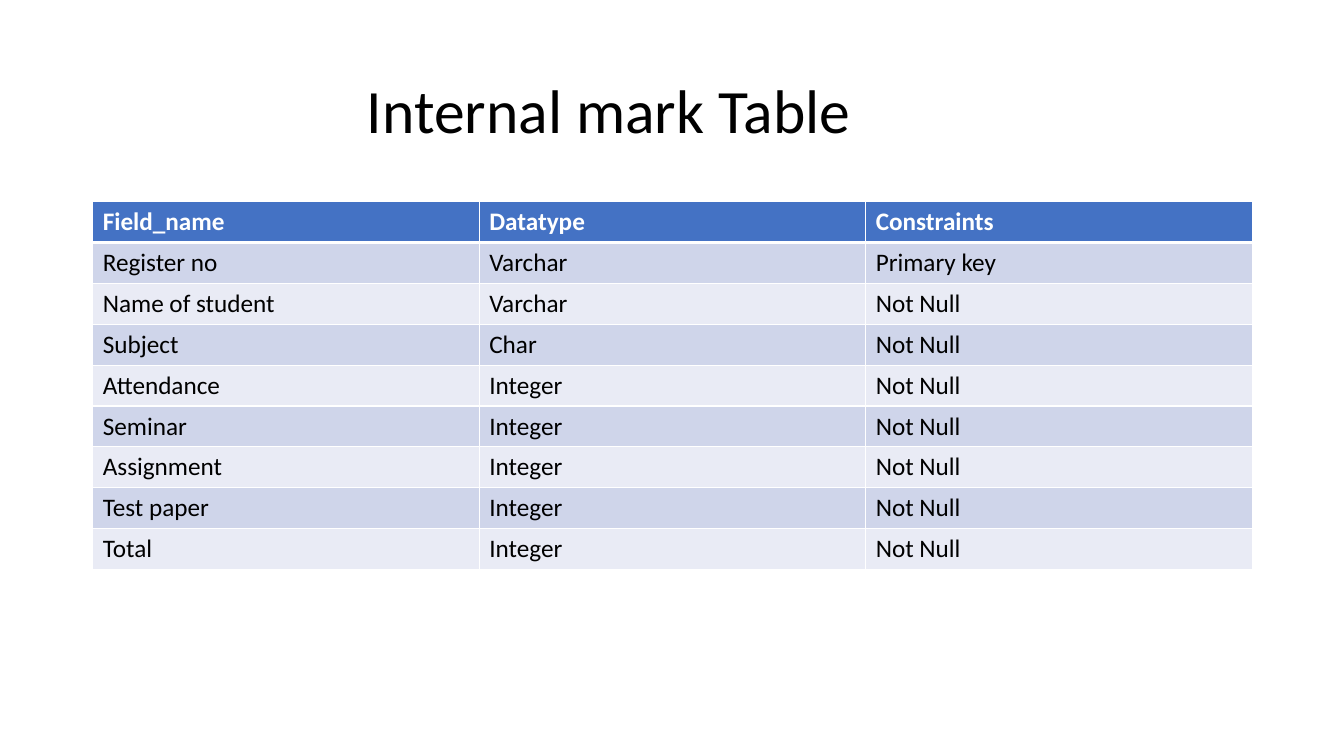
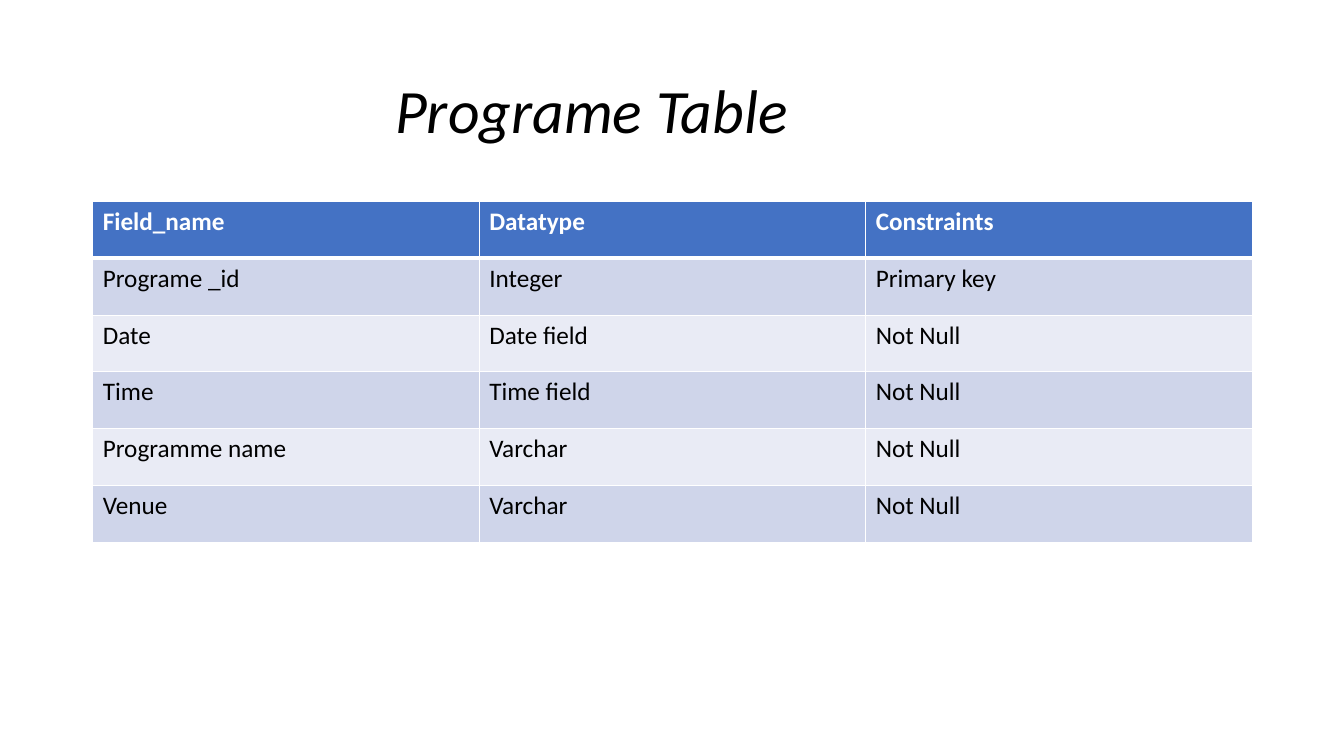
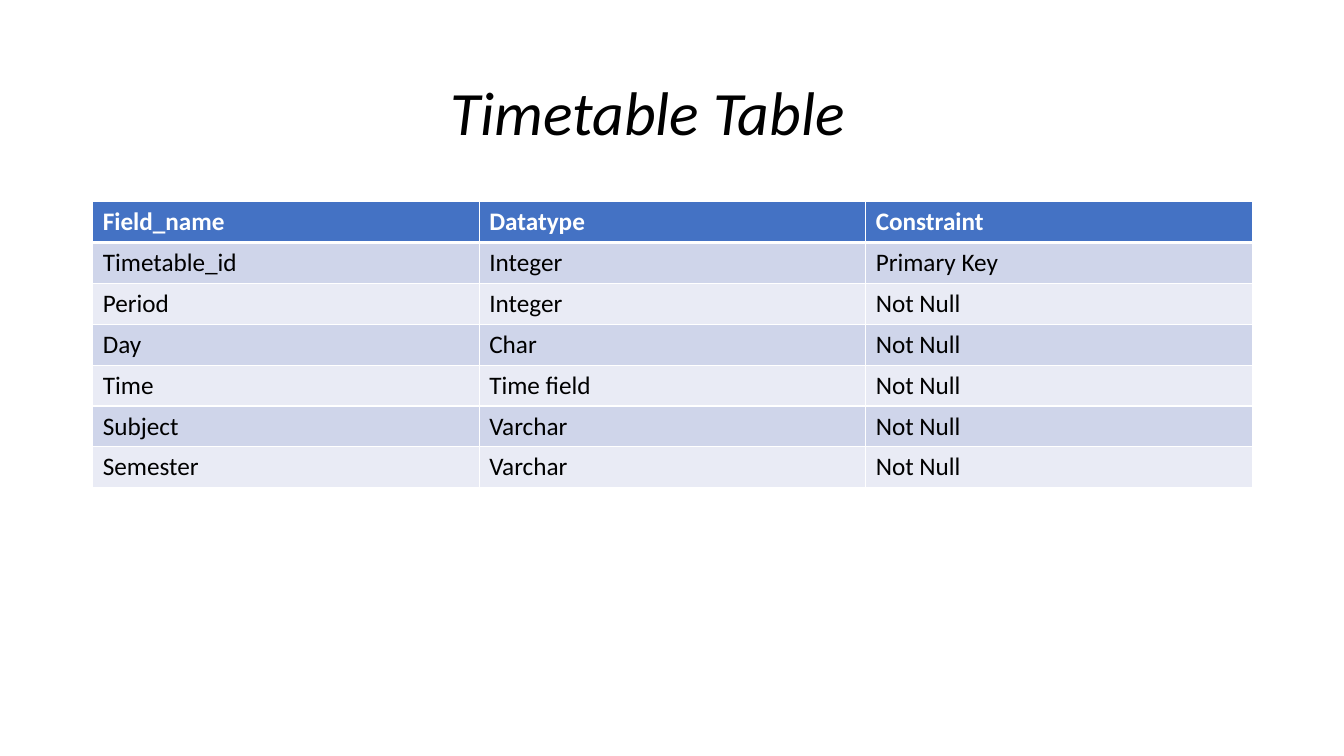
from pptx import Presentation
from pptx.dml.color import RGBColor
from pptx.enum.text import MSO_ANCHOR
from pptx.oxml.ns import qn
from pptx.util import Inches, Pt
from lxml import etree

MIDDLE = MSO_ANCHOR.MIDDLE
FONT = "Calibri"
BLACK, WHITE = "000000", "FFFFFF"
HEADER_FILL = "4472C4"
BAND_FILLS = ("CFD5EA", "E9EBF5")
LEFT, WIDTH = 0.92, 11.5
TABLE_TOP, TITLE_BOTTOM = 2, 1.85
INSET = 0.1
THIN, THICK = 1, 3

SLIDES = [
    {
        "title": "Internal mark Table", "italic": False,
        "title_top": 0.4, "title_indent": 2.62, "table_height": 3.65,
        "rows": [
            ("Field_name", "Datatype", "Constraints"),
            ("Register no", "Varchar", "Primary key"),
            ("Name of student", "Varchar", "Not Null"),
            ("Subject", "Char", "Not Null"),
            ("Attendance", "Integer", "Not Null"),
            ("Seminar", "Integer", "Not Null"),
            ("Assignment", "Integer", "Not Null"),
            ("Test paper", "Integer", "Not Null"),
            ("Total", "Integer", "Not Null"),
        ],
    },
    {
        "title": "Programe Table", "italic": True,
        "title_top": 0.4, "title_indent": 2.9, "table_height": 3.38,
        "rows": [
            ("Field_name", "Datatype", "Constraints"),
            ("Programe _id", "Integer", "Primary key"),
            ("Date", "Date field", "Not Null"),
            ("Time", "Time field", "Not Null"),
            ("Programme name", "Varchar", "Not Null"),
            ("Venue", "Varchar", "Not Null"),
        ],
    },
    {
        "title": "Timetable Table", "italic": True,
        "title_top": 0.45, "title_indent": 3.45, "table_height": 2.84,
        "rows": [
            ("Field_name", "Datatype", "Constraint"),
            ("Timetable_id", "Integer", "Primary Key"),
            ("Period", "Integer", "Not Null"),
            ("Day", "Char", "Not Null"),
            ("Time", "Time field", "Not Null"),
            ("Subject", "Varchar", "Not Null"),
            ("Semester", "Varchar", "Not Null"),
        ],
    },
]


def color(value):
    return RGBColor.from_string(value)


def add_span(para, text, size, ink, bold=False, italic=False):
    span = para.add_run()
    span.text = text
    span.font.name = FONT
    span.font.size = Pt(size)
    span.font.color.rgb = color(ink)
    span.font.bold = bold
    span.font.italic = italic


def add_title(page, content):
    top = content["title_top"]
    box = page.shapes.add_textbox(Inches(LEFT), Inches(top),
                                  Inches(WIDTH), Inches(TITLE_BOTTOM - top))
    frame = box.text_frame
    frame.word_wrap = True
    frame.vertical_anchor = MIDDLE
    frame.margin_left = Inches(INSET + content["title_indent"])
    para = frame.paragraphs[0]
    para.line_spacing = 0.9
    add_span(para, content["title"], 44, BLACK, italic=content["italic"])


def set_borders(cell, top, bottom):
    properties = cell._tc.get_or_add_tcPr()
    widths = {"a:lnL": THIN, "a:lnR": THIN, "a:lnT": top, "a:lnB": bottom}
    for tag, width in widths.items():
        line = etree.SubElement(properties, qn(tag), w=str(Pt(width)))
        fill = etree.SubElement(line, qn("a:solidFill"))
        etree.SubElement(fill, qn("a:srgbClr"), val=WHITE)


def add_field_table(page, content):
    rows = content["rows"]
    table = page.shapes.add_table(len(rows), len(rows[0]), Inches(LEFT), Inches(TABLE_TOP),
                                  Inches(WIDTH), Inches(content["table_height"])).table
    for row_index, row in enumerate(rows):
        header = row_index == 0
        fill = HEADER_FILL if header else BAND_FILLS[(row_index - 1) % 2]
        for column_index, text in enumerate(row):
            cell = table.cell(row_index, column_index)
            set_borders(cell, THICK if row_index == 1 else THIN, THICK if header else THIN)
            cell.fill.solid()
            cell.fill.fore_color.rgb = color(fill)
            add_span(cell.text_frame.paragraphs[0], text, 18,
                     WHITE if header else BLACK, bold=header)


def main():
    deck = Presentation()
    deck.slide_width = Inches(13.33)
    deck.slide_height = Inches(7.5)
    for content in SLIDES:
        page = deck.slides.add_slide(deck.slide_layouts[6])
        add_title(page, content)
        add_field_table(page, content)
    deck.save("out.pptx")


if __name__ == "__main__":
    main()
